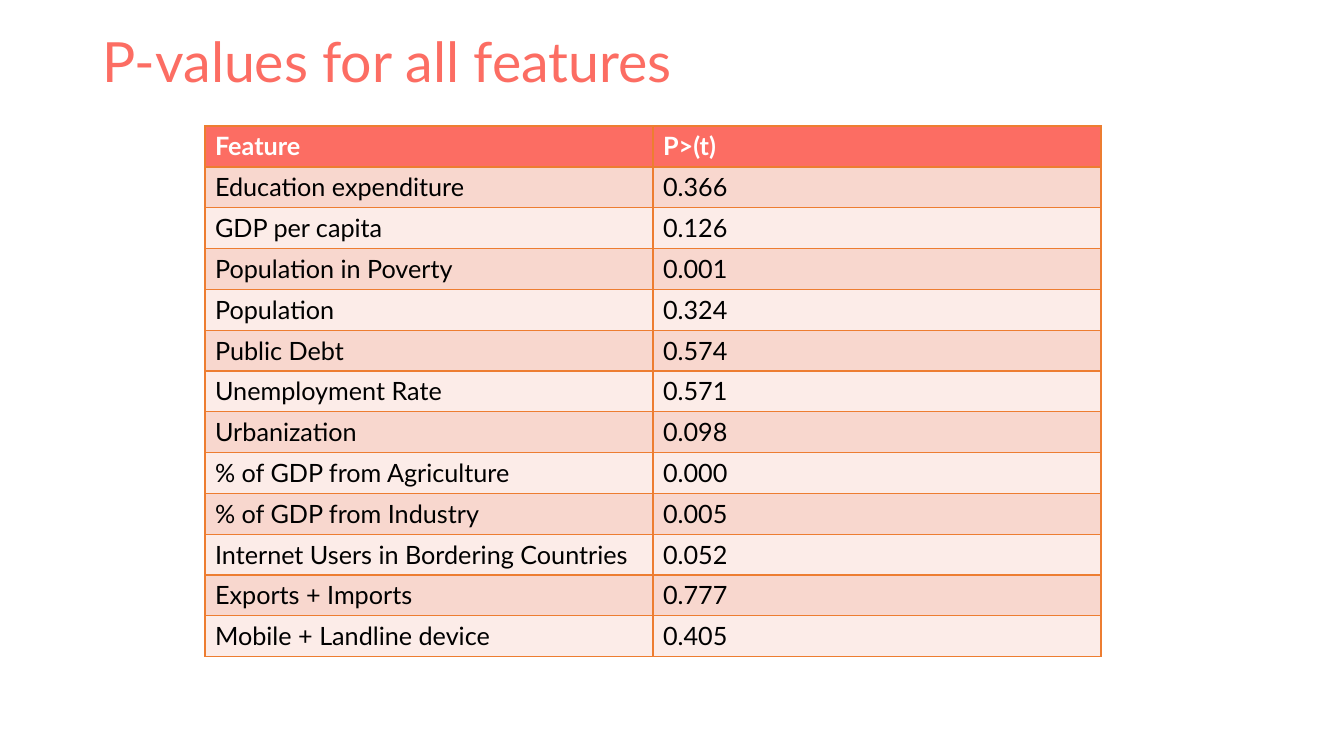
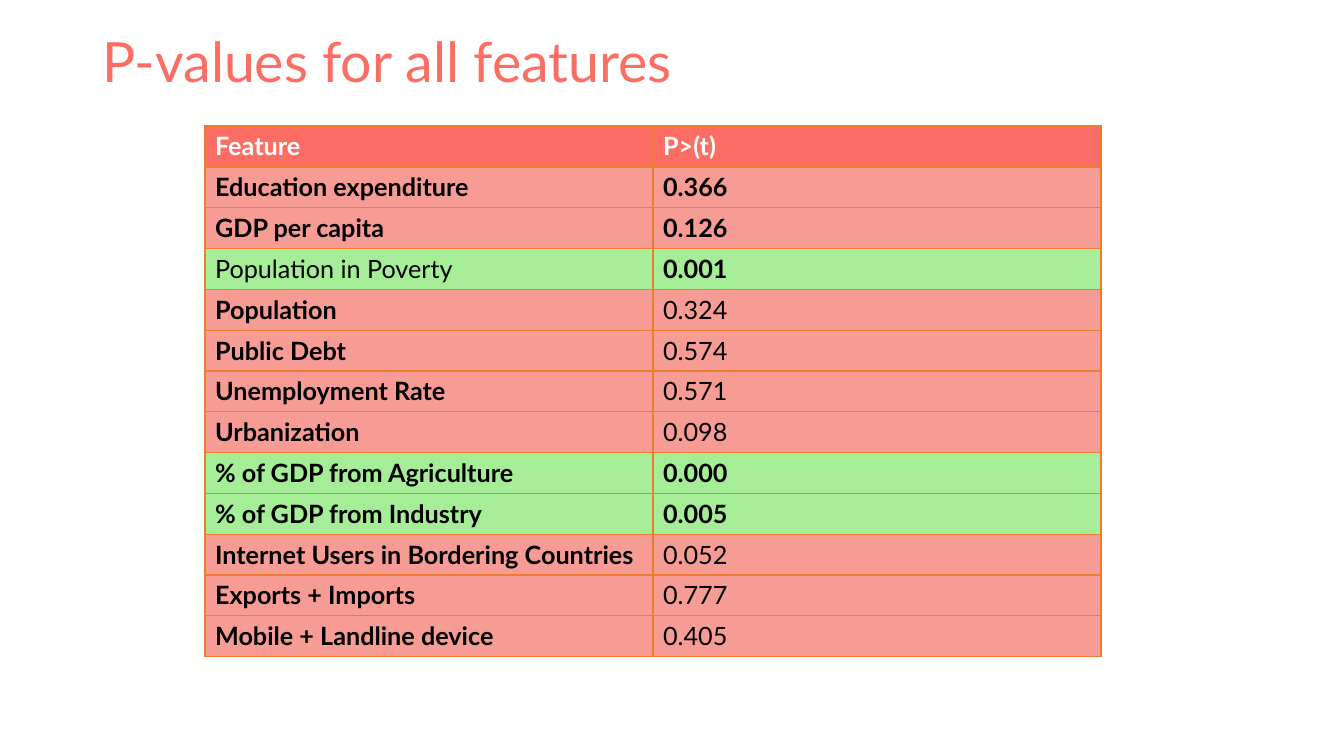
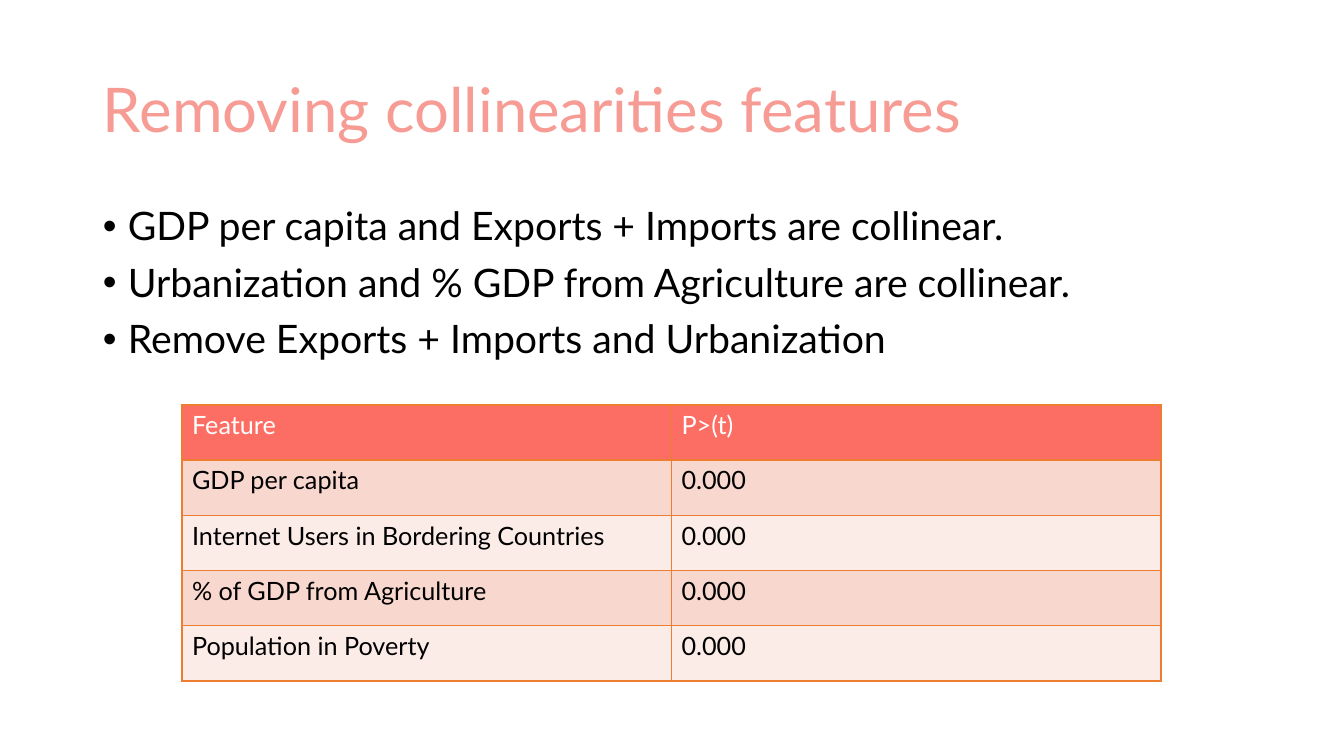
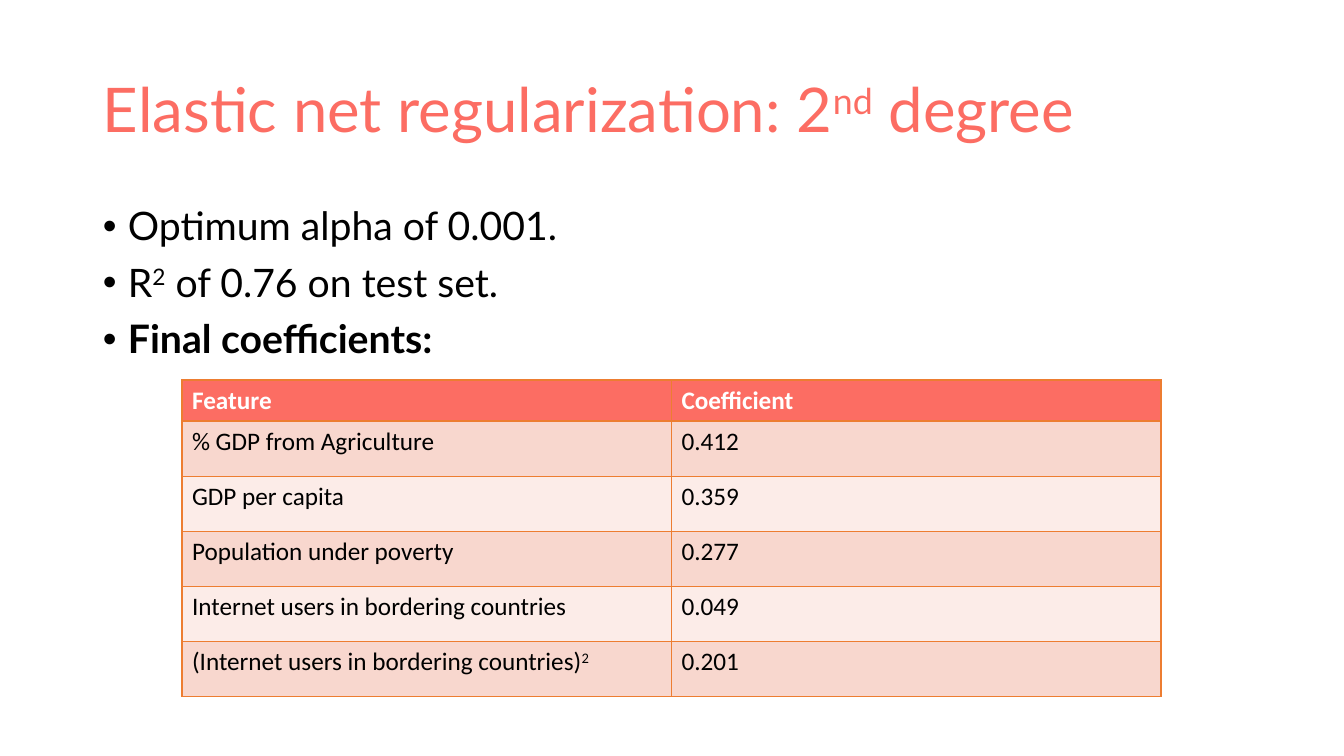
from pptx import Presentation
from pptx import util as u
from pptx.dml import color
from pptx.enum import text
from pptx.oxml import ns
from lxml import etree

SCALE = 914400 / 100.8
COLORS = {
    "coral": "FC6D63",
    "rose": "F79C94",
    "green": "A5ED96",
    "band_dark": "F8D7CE",
    "band_light": "FCECE8",
    "border": "ED7D31",
    "white": "FFFFFF",
    "black": "000000",
}
LEFT, WIDTH = 93, 1159
TITLE_TOP, BODY_TOP, BODY_HEIGHT = 40, 202, 480
SIGNIFICANCE = 0.05
BULLET_INDENT = 25


def px(length):
    return u.Emu(round(length * SCALE))


def write(para, line, size, ink, bold=False, font="Lato"):
    for index, piece in enumerate(line.split("^")):
        if not piece:
            continue
        span = para.add_run()
        span.text = piece
        span.font.name = font
        span.font.size = u.Pt(size)
        span.font.bold = bold
        span.font.color.rgb = color.RGBColor.from_string(COLORS[ink])
        if index % 2:
            span._r.get_or_add_rPr().set("baseline", "30000")


p_values = [
    ("Education expenditure", "0.366"),
    ("GDP per capita", "0.126"),
    ("Population in Poverty", "0.001"),
    ("Population", "0.324"),
    ("Public Debt", "0.574"),
    ("Unemployment Rate", "0.571"),
    ("Urbanization", "0.098"),
    ("% of GDP from Agriculture", "0.000"),
    ("% of GDP from Industry", "0.005"),
    ("Internet Users in Bordering Countries", "0.052"),
    ("Exports + Imports", "0.777"),
    ("Mobile + Landline device", "0.405"),
]
bold_features = {feature for feature, value in p_values} - {"Population in Poverty"}
bold_values = {"0.366", "0.126", "0.001", "0.000", "0.005"}

all_features = {
    "title": "P-values for all features",
    "title_size": 39.6, "title_height": 49, "title_ink": "coral",
    "bullets": [],
    "table_at": (205, 126, 896), "header_height": 41, "rows_height": 490,
    "header": ("Feature", "P>(t)"), "header_bold": True,
    "rows": p_values, "bold": set(), "marked": False, "font": "Lato",
}
marked_features = {
    **all_features,
    "bold": bold_features | bold_values, "marked": True,
}
collinear_features = {
    "title": "Removing collinearities features",
    "title_size": 44, "title_height": 146, "title_ink": "rose",
    "bullets": [
        ("GDP per capita and Exports + Imports are collinear.", False),
        ("Urbanization and % GDP from Agriculture are collinear.", False),
        ("Remove Exports + Imports and Urbanization", False),
    ],
    "table_at": (182, 405, 979), "header_height": 55, "rows_height": 221,
    "header": ("Feature", "P>(t)"), "header_bold": False,
    "rows": [
        ("GDP per capita", "0.000"),
        ("Internet Users in Bordering Countries", "0.000"),
        ("% of GDP from Agriculture", "0.000"),
        ("Population in Poverty", "0.000"),
    ],
    "bold": set(), "marked": False, "font": "Lato",
}
elastic_net = {
    **collinear_features,
    "title": "Elastic net regularization: 2^nd^ degree", "title_ink": "coral",
    "bullets": [
        ("Optimum alpha of 0.001.", False),
        ("R^2^ of 0.76 on test set.", False),
        ("Final coefficients:", True),
    ],
    "table_at": (182, 380, 979), "header_height": 41, "rows_height": 276,
    "header": ("Feature", "Coefficient"), "header_bold": True,
    "rows": [
        ("% GDP from Agriculture", "0.412"),
        ("GDP per capita", "0.359"),
        ("Population under poverty", "0.277"),
        ("Internet users in bordering countries", "0.049"),
        ("(Internet users in bordering countries)^2^", "0.201"),
    ],
    "font": "Calibri",
}

deck = Presentation()
deck.slide_width = px(1344)
deck.slide_height = px(756)

for content in (all_features, marked_features, collinear_features, elastic_net):
    page = deck.slides.add_slide(deck.slide_layouts[6])

    title_box = page.shapes.add_textbox(
        px(LEFT), px(TITLE_TOP), px(WIDTH), px(content["title_height"]))
    title_box.text_frame.word_wrap = True
    title_box.text_frame.vertical_anchor = text.MSO_ANCHOR.MIDDLE
    para = title_box.text_frame.paragraphs[0]
    para.line_spacing = 0.9
    write(para, content["title"], content["title_size"], content["title_ink"])

    if content["bullets"]:
        body_box = page.shapes.add_textbox(
            px(LEFT), px(BODY_TOP), px(WIDTH), px(BODY_HEIGHT))
        body_box.text_frame.word_wrap = True
        for index, (line, bold) in enumerate(content["bullets"]):
            if index:
                para = body_box.text_frame.add_paragraph()
                para.space_before = u.Pt(10)
            else:
                para = body_box.text_frame.paragraphs[0]
            para.line_spacing = 0.9
            properties = para._p.get_or_add_pPr()
            properties.set("marL", str(px(BULLET_INDENT)))
            properties.set("indent", str(-px(BULLET_INDENT)))
            etree.SubElement(properties, ns.qn("a:buFont"), typeface="Arial")
            etree.SubElement(properties, ns.qn("a:buChar"), char="•")
            write(para, line, 28, "black", bold)

    rows = [content["header"], *content["rows"]]
    left, top, width = content["table_at"]
    height = content["header_height"] + content["rows_height"]
    table = page.shapes.add_table(
        len(rows), 2, px(left), px(top), px(width), px(height)).table
    table.first_row = content["header_bold"]
    table.horz_banding = False
    for number, row in enumerate(rows):
        if number == 0:
            table.rows[number].height = px(content["header_height"])
            fill = "coral"
        else:
            table.rows[number].height = px(content["rows_height"] / len(content["rows"]))
            if content["marked"]:
                fill = "green" if float(row[1]) < SIGNIFICANCE else "rose"
            else:
                fill = "band_dark" if number % 2 else "band_light"
        for column, line in enumerate(row):
            cell = table.cell(number, column)
            properties = cell._tc.get_or_add_tcPr()
            for side in ("lnL", "lnR", "lnT", "lnB"):
                border = etree.SubElement(
                    properties, ns.qn("a:" + side), w=str(u.Pt(1)))
                solid = etree.SubElement(border, ns.qn("a:solidFill"))
                etree.SubElement(solid, ns.qn("a:srgbClr"), val=COLORS["border"])
            cell.fill.solid()
            cell.fill.fore_color.rgb = color.RGBColor.from_string(COLORS[fill])
            ink = "black" if number else "white"
            bold = line in content["bold"] if number else content["header_bold"]
            write(cell.text_frame.paragraphs[0], line, 18, ink, bold, content["font"])

deck.save("out.pptx")
